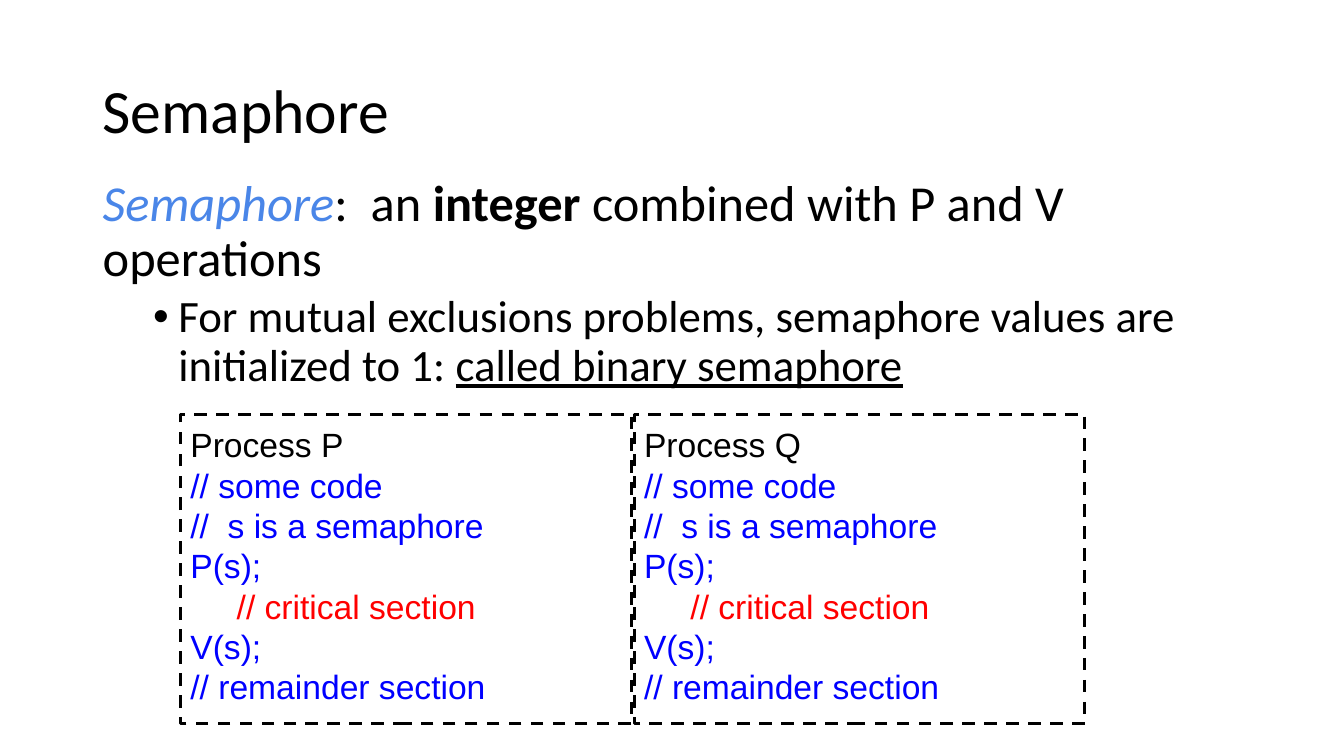
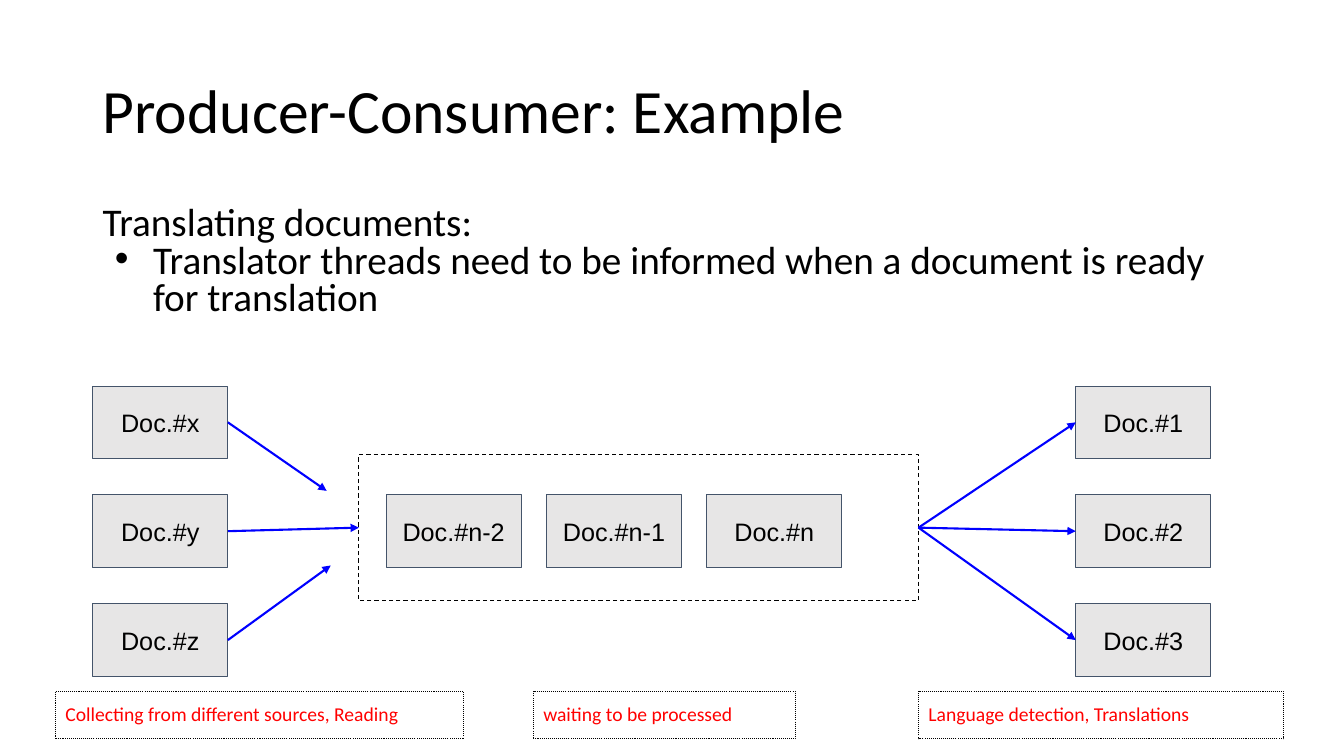
from lxml import etree
from pptx import Presentation
from pptx import util as u
from pptx.dml.color import RGBColor
from pptx.enum import dml, shapes, text
from pptx.oxml import ns

# Theme
PX = u.Inches(1) // 100
THEME = {
    "heading_font": "Calibri", "code_font": "Arial",
    "black": "000000", "blue": "0000FF", "red": "FF0000", "term": "4A86E8",
    "document_fill": "E7E6E6", "document_line": "44546A",
    "title": 44, "lead": 36, "bullet": 32, "body": 28,
    "code": 24, "document": 18, "caption": 14,
    "thin": 0.75, "arrow": 1.5, "thick": 2.25,
}
SLIDE_SIZE = (1333, 750)
TITLE_BOX = (92, 40, 1150, 145)

# Content: a paragraph is (runs, paragraph format), a run is (text, run format)
SEMAPHORE_TITLE = "Semaphore"
SEMAPHORE_BODY = [
    ([("Semaphore", {"italic": True, "color": "term"}), (":  an ", {}),
      ("integer", {"bold": True}), (" combined with P and V operations", {})],
     {"size": "lead"}),
    ([("For mutual exclusions problems, semaphore values are initialized to 1: ", {}),
      ("called binary semaphore", {"underline": True})],
     {"size": "bullet", "left": 75, "hang": 25, "before": 5, "bullet": "•"}),
]
PROCESSES = ["Process P", "Process Q"]
PROCESS_CODE = [
    ("// some code", {}),
    ("//  s is a semaphore", {}),
    ("P(s);", {}),
    ("// critical section", {"color": "red", "left": 46}),
    ("V(s);", {}),
    ("// remainder section", {}),
]

EXAMPLE_TITLE = "Producer-Consumer: Example"
EXAMPLE_BODY = [
    ("Translating documents:", {}),
    ("Translator threads need to be informed when a document is ready for translation",
     {"left": 50, "hang": 38, "bullet": "•"}),
]
SOURCES = ["Doc.#x", "Doc.#y", "Doc.#z"]
QUEUE = ["Doc.#n-2", "Doc.#n-1", "Doc.#n"]
RESULTS = ["Doc.#1", "Doc.#2", "Doc.#3"]
CAPTIONS = [  # text, left, width
    ("Collecting from different sources, Reading", 55, 405),
    ("waiting to be processed", 529, 260),
    ("Language detection, Translations", 911, 362),
]

# Layout
CODE_BOX = (179, 411, 447, 307)
CODE_PITCH = 450
DOCUMENT_SIZE = (134, 72)
ROW_TOP, ROW_PITCH = 383, 108
SOURCE_LEFT, QUEUE_LEFT, RESULT_LEFT = 92, 383, 1067
QUEUE_PITCH = 159
BUFFER_BOX = (356, 451, 555, 145)
UPPER_ARROW_END, LOWER_ARROW_END = (324, 487), (328, 561)
CAPTION_TOP, CAPTION_HEIGHT = 686, 47
TOP, LEFT, BOTTOM, RIGHT = range(4)


def px(*lengths):
    return [length * PX for length in lengths]


def rgb(name):
    return RGBColor.from_string(THEME[name])


def set_bullet(paragraph, character, color):
    properties = paragraph._p.get_or_add_pPr()
    bullet_color = etree.SubElement(properties, ns.qn("a:buClr"))
    etree.SubElement(bullet_color, ns.qn("a:srgbClr"), val=THEME[color])
    etree.SubElement(properties, ns.qn("a:buFont"), typeface="Arial")
    etree.SubElement(properties, ns.qn("a:buChar"), char=character)


def write_text(shape, paragraphs, *, inset=10, anchor="TOP", **defaults):
    """Fill a shape with (runs or text, format) paragraphs."""
    frame = shape.text_frame
    frame.word_wrap = True
    frame.vertical_anchor = text.MSO_ANCHOR[anchor]
    frame.margin_left = frame.margin_right = 10 * PX
    frame.margin_top = frame.margin_bottom = inset * PX
    base = {"font": "heading_font", "color": "black", "align": "LEFT", **defaults}
    for index, (runs, changes) in enumerate(paragraphs):
        style = {**base, **changes}
        paragraph = frame.add_paragraph() if index else frame.paragraphs[0]
        paragraph.alignment = text.PP_ALIGN[style["align"]]
        paragraph.line_spacing = style.get("spacing", 1.0)
        paragraph.space_before = u.Pt(style.get("before", 0))
        properties = paragraph._p.get_or_add_pPr()
        properties.set("marL", str(style.get("left", 0) * PX))
        properties.set("indent", str(-style.get("hang", 0) * PX))
        if "bullet" in style:
            set_bullet(paragraph, style["bullet"], style["color"])
        for words, run_changes in [(runs, {})] if isinstance(runs, str) else runs:
            run_style = {**style, **run_changes}
            run = paragraph.add_run()
            run.text = words
            run.font.name = THEME[run_style["font"]]
            run.font.size = u.Pt(THEME[run_style["size"]])
            run.font.color.rgb = rgb(run_style["color"])
            run.font.bold = run_style.get("bold")
            run.font.italic = run_style.get("italic")
            run.font.underline = run_style.get("underline")


def add_text(slide, box, paragraphs, **style):
    write_text(slide.shapes.add_textbox(*px(*box)), paragraphs, inset=5, **style)


def add_box(slide, box, *, kind="RECTANGLE", fill=None, line="black",
            width="thin", dash=None):
    shape = slide.shapes.add_shape(shapes.MSO_SHAPE[kind], *px(*box))
    shape.shadow.inherit = False
    if fill:
        shape.fill.solid()
        shape.fill.fore_color.rgb = rgb(fill)
    else:
        shape.fill.background()
    shape.line.color.rgb = rgb(line)
    shape.line.width = u.Pt(THEME[width])
    if dash:
        shape.line.dash_style = dml.MSO_LINE[dash]
    return shape


def add_document(slide, label, left, top):
    shape = add_box(slide, (left, top, *DOCUMENT_SIZE), kind="FLOWCHART_PROCESS",
                    fill="document_fill", line="document_line")
    write_text(shape, [(label, {})], anchor="MIDDLE", align="CENTER",
               font="code_font", size="document")
    return shape


def add_arrow(slide, start, end):
    """Join the right side of start to a point or to the left side of a shape."""
    point = end if isinstance(end, tuple) else (0, 0)
    arrow = slide.shapes.add_connector(shapes.MSO_CONNECTOR.STRAIGHT, 0, 0, *px(*point))
    arrow.begin_connect(start, RIGHT)
    if end is not point:
        arrow.end_connect(end, LEFT)
    arrow.line.color.rgb = rgb("blue")
    arrow.line.width = u.Pt(THEME["arrow"])
    etree.SubElement(arrow.line._get_or_add_ln(), ns.qn("a:tailEnd"), type="triangle")
    etree.SubElement(arrow._element.spPr, ns.qn("a:effectLst"))


def add_slide(presentation, title):
    slide = presentation.slides.add_slide(presentation.slide_layouts[6])
    add_text(slide, TITLE_BOX, [(title, {})], anchor="MIDDLE", size="title", spacing=0.9)
    return slide


def build_semaphore(presentation):
    slide = add_slide(presentation, SEMAPHORE_TITLE)
    add_text(slide, (92, 172, 1179, 231), SEMAPHORE_BODY, spacing=0.9)
    left, *rest = CODE_BOX
    for index, name in enumerate(PROCESSES):
        box = add_box(slide, (left + index * CODE_PITCH, *rest), width="thick", dash="DASH")
        write_text(box, [(name, {"color": "black"}), *PROCESS_CODE],
                   font="code_font", size="code", color="blue")


def build_example(presentation):
    slide = add_slide(presentation, EXAMPLE_TITLE)
    add_text(slide, (92, 200, 1150, 183), EXAMPLE_BODY, size="body", spacing=0.8)

    # Documents and the buffer between them
    rows = [ROW_TOP + index * ROW_PITCH for index in range(len(SOURCES))]
    sources = [add_document(slide, label, SOURCE_LEFT, top)
               for label, top in zip(SOURCES, rows)]
    for index, label in enumerate(QUEUE):
        add_document(slide, label, QUEUE_LEFT + index * QUEUE_PITCH, rows[1])
    buffer = add_box(slide, BUFFER_BOX, dash="DASH")
    results = [add_document(slide, label, RESULT_LEFT, top)
               for label, top in zip(RESULTS, rows)]

    # Arrows into and out of the buffer
    for source, end in zip(sources, [UPPER_ARROW_END, buffer, LOWER_ARROW_END]):
        add_arrow(slide, source, end)
    for result in results:
        add_arrow(slide, buffer, result)

    # Captions
    for caption, left, width in CAPTIONS:
        box = add_box(slide, (left, CAPTION_TOP, width, CAPTION_HEIGHT), dash="ROUND_DOT")
        write_text(box, [(caption, {})], size="caption", color="red")


def main():
    presentation = Presentation()
    presentation.slide_width, presentation.slide_height = px(*SLIDE_SIZE)
    build_semaphore(presentation)
    build_example(presentation)
    presentation.save("out.pptx")


if __name__ == "__main__":
    main()
